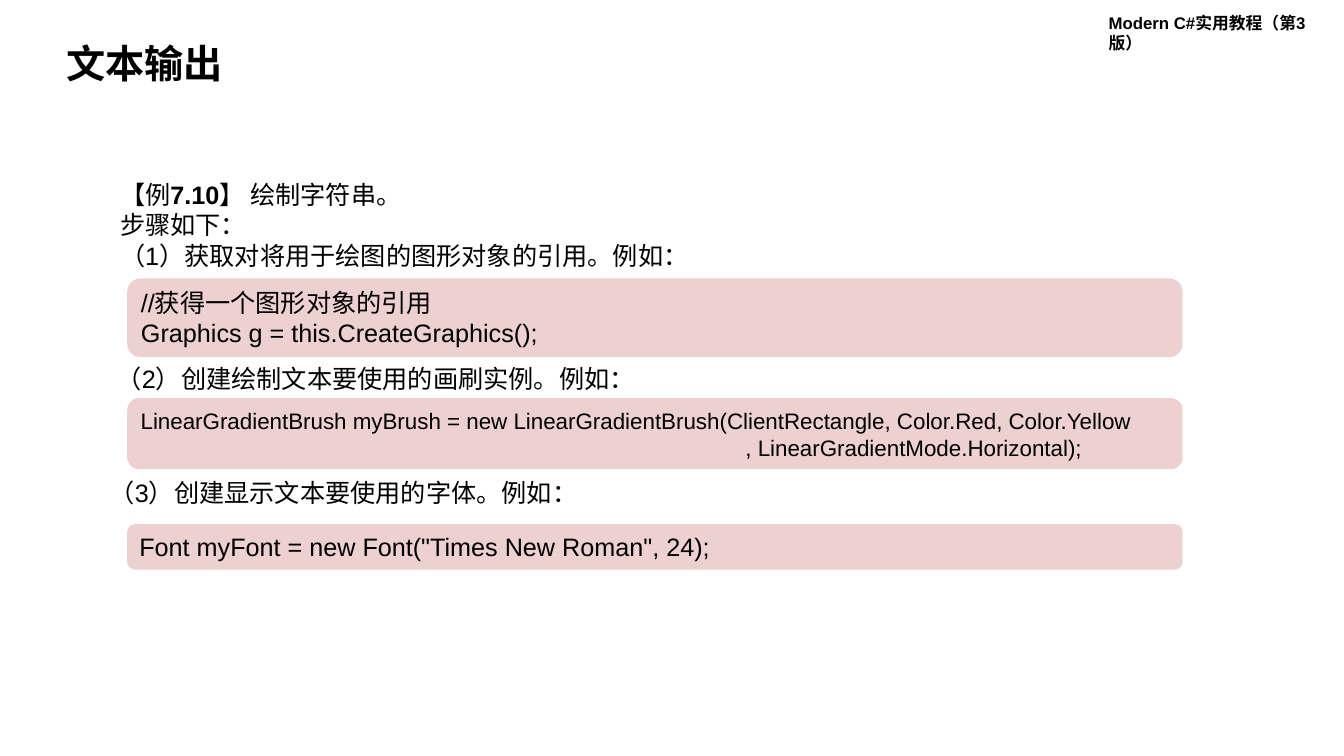
from dataclasses import dataclass

import lxml.etree
import pptx
import pptx.dml.color
import pptx.enum.shapes
import pptx.enum.text
import pptx.oxml.ns
import pptx.util

Pt = pptx.util.Pt
FONT = "Arial"
COLORS = {"text": "000000", "code": "EDD0D0"}
CODE_LEFT, CODE_WIDTH = 90.9, 753.84
TAB_STEP = 72


@dataclass
class Label:
    left: float
    top: float
    width: float
    height: float
    lines: list[list[tuple[str, bool]]]  # each line is a list of (text, bold)
    size: float = 18
    wrap: bool = True


@dataclass
class CodeBox:
    top: float
    height: float
    lines: list[str]
    size: float = 18


LABELS = [
    Label(784.8, 5.76, 175.68, 21.6, [[("Modern C#实用教程（第3版）", True)]], size=12),
    Label(78.7, 124.7, 777.6, 72.72, [
        [("【例", False), ("7.10", True), ("】 绘制字符串。", False)],
        [("步骤如下：", False)],
        [("（1）获取对将用于绘图的图形对象的引用。例如：", False)],
    ]),
    Label(76.32, 256.32, 388.08, 28.8,
          [[("（2）创建绘制文本要使用的画刷实例。例如：", False)]], wrap=False),
    Label(71.28, 337.68, 352.08, 28.8,
          [[("（3）创建显示文本要使用的字体。例如：", False)]], wrap=False),
]

CODE_BOXES = [
    CodeBox(198.9, 56.16, ["//获得一个图形对象的引用", "Graphics g = this.CreateGraphics();"]),
    CodeBox(284.4, 50.8, [
        "LinearGradientBrush myBrush = new LinearGradientBrush(ClientRectangle, Color.Red, Color.Yellow",
        "\t\t\t\t\t\t, LinearGradientMode.Horizontal);",
    ], size=16),
    CodeBox(374.4, 32.4, ['Font myFont = new Font("Times New Roman", 24);']),
]


def rgb(name: str) -> pptx.dml.color.RGBColor:
    return pptx.dml.color.RGBColor.from_string(COLORS[name])


def add_tab_stops(p, count: int) -> None:
    """Give the paragraph evenly spaced left tab stops."""
    qn = pptx.oxml.ns.qn
    tabs = lxml.etree.SubElement(p._p.get_or_add_pPr(), qn("a:tabLst"))
    for i in range(1, count + 1):
        lxml.etree.SubElement(tabs, qn("a:tab"), pos=str(Pt(i * TAB_STEP)), algn="l")


def format_font(font, size: float) -> None:
    font.name = FONT
    font.size = Pt(size)
    font.color.rgb = rgb("text")


def write_lines(tf, lines: list[list[tuple[str, bool]]], size: float) -> None:
    for i, line in enumerate(lines):
        p = tf.add_paragraph() if i else tf.paragraphs[0]
        p.alignment = pptx.enum.text.PP_ALIGN.LEFT
        tab_count = sum(text.count("\t") for text, _ in line)
        if tab_count:
            add_tab_stops(p, tab_count)
        format_font(p.font, size)
        for text, bold in line:
            r = p.add_run()
            r.text = text
            format_font(r.font, size)
            r.font.bold = bold


def format_title(sp) -> None:
    sp.left, sp.top, sp.width, sp.height = Pt(40.32), Pt(28.08), Pt(434.88), Pt(37.44)
    tf = sp.text_frame
    tf.auto_size = pptx.enum.text.MSO_AUTO_SIZE.NONE
    tf.vertical_anchor = pptx.enum.text.MSO_ANCHOR.MIDDLE
    write_lines(tf, [[("文本输出", True)]], 28)
    tf.paragraphs[0].line_spacing = 0.9


def add_label(s, label: Label) -> None:
    sp = s.shapes.add_textbox(Pt(label.left), Pt(label.top), Pt(label.width), Pt(label.height))
    tf = sp.text_frame
    tf.word_wrap = label.wrap
    tf.auto_size = pptx.enum.text.MSO_AUTO_SIZE.SHAPE_TO_FIT_TEXT
    write_lines(tf, label.lines, label.size)


def add_code_box(s, box: CodeBox) -> None:
    sp = s.shapes.add_shape(pptx.enum.shapes.MSO_SHAPE.ROUNDED_RECTANGLE,
                            Pt(CODE_LEFT), Pt(box.top), Pt(CODE_WIDTH), Pt(box.height))
    sp.shadow.inherit = False
    sp.fill.solid()
    sp.fill.fore_color.rgb = rgb("code")
    sp.line.fill.background()
    tf = sp.text_frame
    tf.word_wrap = True
    tf.vertical_anchor = pptx.enum.text.MSO_ANCHOR.MIDDLE
    write_lines(tf, [[(line, False)] for line in box.lines], box.size)


def main() -> None:
    prs = pptx.Presentation()
    prs.slide_width, prs.slide_height = Pt(960), Pt(540)
    s = prs.slides.add_slide(prs.slide_layouts.get_by_name("Title Only"))
    format_title(s.shapes.title)
    for label in LABELS:
        add_label(s, label)
    for box in CODE_BOXES:
        add_code_box(s, box)
    prs.save("out.pptx")


if __name__ == "__main__":
    main()
